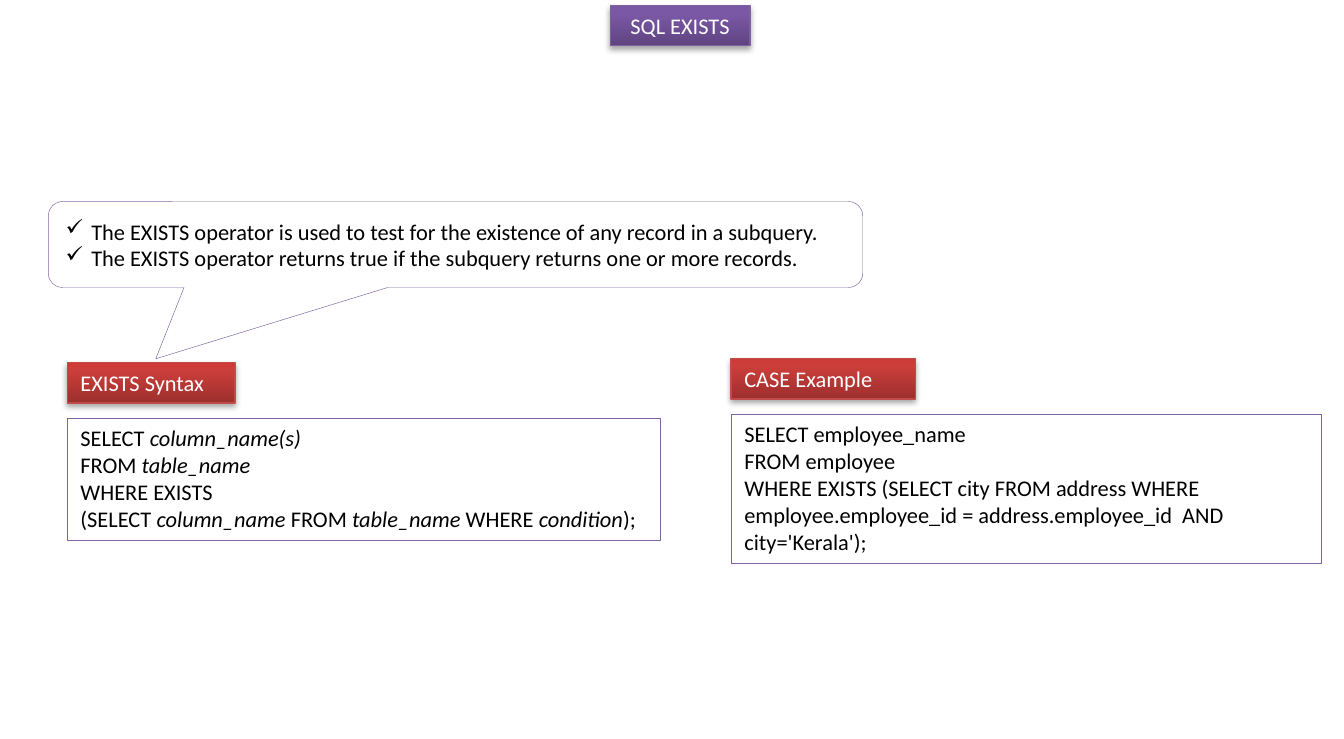
"""Build a slide that explains the SQL EXISTS operator with its syntax and an example."""
from copy import deepcopy

from lxml import etree
from pptx import Presentation
from pptx import util as u
from pptx.dml.color import RGBColor
from pptx.enum import shapes, text
from pptx.oxml import parse_xml
from pptx.oxml.ns import nsdecls, qn

PURPLE = ("5F4480", "7B58A6", "7C57A8")
RED = ("9C2F2D", "CB3E3A", "CE3B37")


def color(hex_value):
    return RGBColor.from_string(hex_value)


def style(shape, line, weight, gradient=None):
    shape.line.color.rgb = color(line)
    shape.line.width = u.Pt(weight)
    shape.shadow.inherit = False
    shape.text_frame.word_wrap = True
    shape.text_frame.vertical_anchor = text.MSO_ANCHOR.TOP
    shape.text_frame.auto_size = text.MSO_AUTO_SIZE.NONE
    if gradient:
        shape.fill.gradient()
        shape.fill.gradient_angle = 90
        properties = shape._element.spPr
        stops = properties.find(".//" + qn("a:gsLst"))
        stops.append(deepcopy(stops[-1]))
        for stop, position, shade in zip(shape.fill.gradient_stops, (0, 0.8, 1), gradient):
            stop.position = position
            stop.color.rgb = color(shade)
        properties.find(qn("a:effectLst")).append(parse_xml(
            f'<a:outerShdw {nsdecls("a")} blurRad="40000" dist="23000" dir="5400000" '
            'rotWithShape="0"><a:srgbClr val="000000"><a:alpha val="35000"/>'
            '</a:srgbClr></a:outerShdw>'))
    else:
        shape.fill.solid()
        shape.fill.fore_color.rgb = color("FFFFFF")
    for paragraph in shape.text_frame.paragraphs:
        paragraph.alignment = text.PP_ALIGN.LEFT
        paragraph.font.name = "Calibri"
        paragraph.font.size = u.Pt(12)
        paragraph.font.color.rgb = color("FFFFFF" if gradient else "000000")


deck = Presentation()
deck.slide_width, deck.slide_height = u.Inches(10), u.Inches(5.5)
slide = deck.slides.add_slide(deck.slide_layouts[5])

title = slide.shapes.title
title.left, title.top = u.Inches(4.54), u.Inches(0.04)
title.width, title.height = u.Inches(1.04), u.Inches(0.3)
title.text_frame.text = "SQL EXISTS"
style(title, "7D60A0", 0.75, PURPLE)
title.text_frame.paragraphs[0].alignment = text.PP_ALIGN.CENTER

syntax = slide.shapes.add_shape(
    shapes.MSO_SHAPE.RECTANGLE, u.Inches(0.5), u.Inches(3.11), u.Inches(4.41), u.Inches(0.91))
syntax_lines = [
    ["SELECT ", "column_name(s)"],
    ["FROM ", "table_name"],
    ["WHERE EXISTS"],
    ["(SELECT ", "column_name ", "FROM ", "table_name", " WHERE ", "condition", ");"],
]
statement = syntax.text_frame.paragraphs[0]
for row, pieces in enumerate(syntax_lines):
    if row:
        statement.add_line_break()
    for position, piece in enumerate(pieces):
        run = statement.add_run()
        run.text = piece
        if position % 2:
            run.font.italic = True
style(syntax, "8064A2", 0.25)

definition = slide.shapes.add_shape(
    shapes.MSO_SHAPE.ROUNDED_RECTANGULAR_CALLOUT,
    u.Inches(0.36), u.Inches(1.5), u.Inches(6.06), u.Inches(0.64))
for index, value in enumerate((-0.368, 1.329, 0.167)):
    definition.adjustments[index] = value
definition.text_frame.text = (
    "The EXISTS operator is used to test for the existence of any record in a subquery.\n"
    "The EXISTS operator returns true if the subquery returns one or more records.")
for point in definition.text_frame.paragraphs:
    layout = point._p.get_or_add_pPr()
    layout.set("marL", str(u.Inches(0.19)))
    layout.set("indent", str(-u.Inches(0.19)))
    etree.SubElement(layout, qn("a:buChar"), char="✓")
style(definition, "8064A2", 0.25)
definition.text_frame.vertical_anchor = text.MSO_ANCHOR.MIDDLE

example = slide.shapes.add_shape(
    shapes.MSO_SHAPE.RECTANGLE, u.Inches(5.44), u.Inches(3.08), u.Inches(4.39), u.Inches(1.11))
example.text_frame.text = (
    "SELECT employee_name\n"
    "FROM employee\n"
    "WHERE EXISTS (SELECT city FROM address WHERE "
    "employee.employee_id = address.employee_id  AND city='Kerala');")
style(example, "8064A2", 0.25)

for heading, left, top, width in (
        ("EXISTS Syntax", 0.5, 2.7, 1.25), ("CASE Example", 5.44, 2.67, 1.37)):
    label = slide.shapes.add_shape(
        shapes.MSO_SHAPE.RECTANGLE, u.Inches(left), u.Inches(top), u.Inches(width), u.Inches(0.3))
    label.text_frame.text = heading
    style(label, "BF4C48", 0.75, RED)

deck.save("out.pptx")
